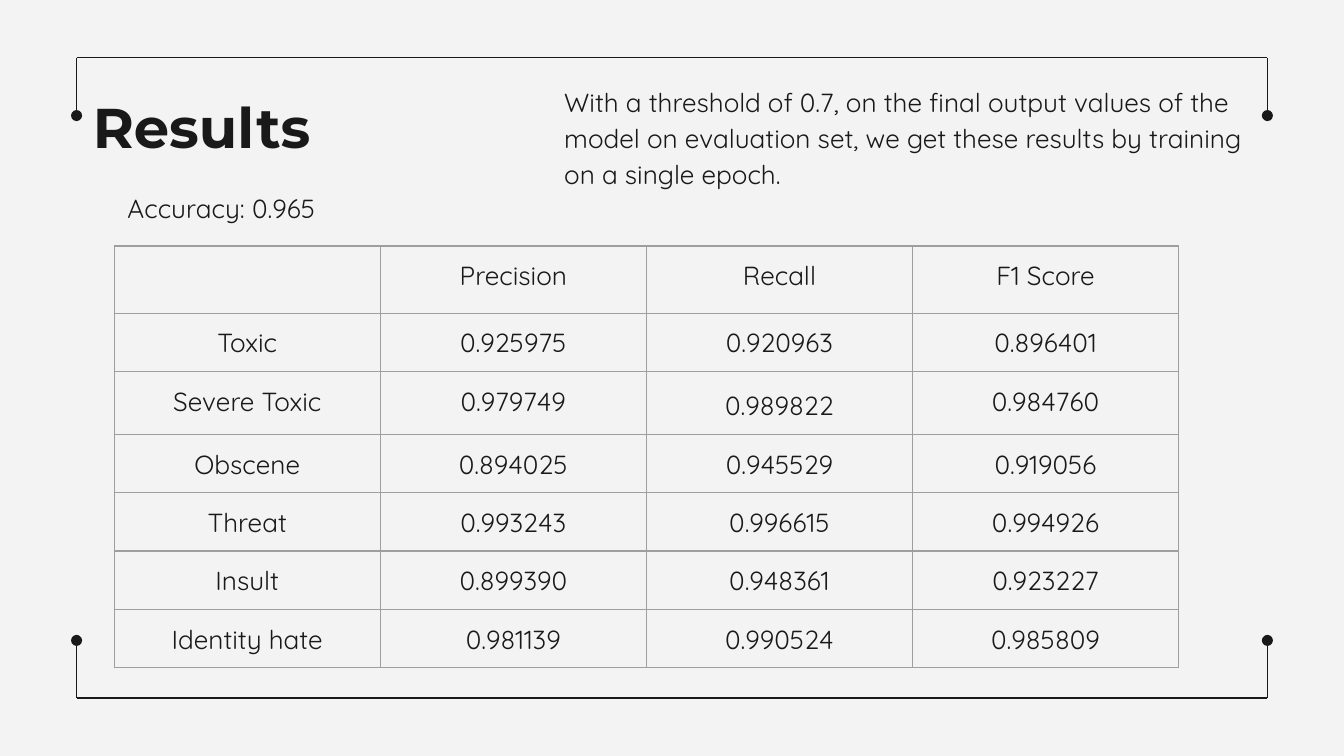
"""Build the results slide: corner frame, title, notes and a score table."""
from lxml.etree import SubElement
from pptx import Presentation
from pptx.dml.color import RGBColor
from pptx.enum.shapes import MSO_CONNECTOR
from pptx.enum.text import MSO_ANCHOR, PP_ALIGN
from pptx.oxml.ns import qn
from pptx.util import Inches, Pt

TITLE = "Results"
INTRO = ("With a threshold of 0.7, on the final output values of the model on "
         "evaluation set, we get these results by training on a single epoch.")
ACCURACY = "Accuracy: 0.965"
SCORES = [
    ("", "Precision", "Recall", "F1 Score"),
    ("Toxic", "0.925975", "0.920963", "0.896401"),
    ("Severe Toxic", "0.979749", "0.989822", "0.984760"),
    ("Obscene", "0.894025", "0.945529", "0.919056"),
    ("Threat", "0.993243", "0.996615", "0.994926"),
    ("Insult", "0.899390", "0.948361", "0.923227"),
    ("Identity hate", "0.981139", "0.990524", "0.985809"),
]
LOOSE_CELL = "0.989822"
COLORS = {"bg": "F3F3F3", "ink": "191919", "grid": "9E9E9E"}
WIDTH = 10
HEIGHT = WIDTH * 9 / 16
MARGIN_X, MARGIN_Y, TICK = 0.57, 0.43, 0.43
COL_W, ROW_H = 1.98, 0.42


def rgb(name):
    return RGBColor.from_string(COLORS[name])


def write(tf, text, size=14, font="Quicksand", bold=False, align=None, spacing=None):
    tf.word_wrap = True
    tf.vertical_anchor = MSO_ANCHOR.TOP
    p = tf.paragraphs[0]
    p.alignment, p.line_spacing = align, spacing
    r = p.add_run()
    r.text = text
    r.font.size, r.font.name, r.font.bold = Pt(size), font, bold
    r.font.color.rgb = rgb("ink")


def set_insets(target):
    target.margin_left = target.margin_right = Inches(0.1)
    target.margin_top = target.margin_bottom = Inches(0.1)


def place(sp, *box):
    sp.left, sp.top, sp.width, sp.height = map(Inches, box)


def add_line(s, x1, y1, x2, y2, dot=False):
    line = s.shapes.add_connector(MSO_CONNECTOR.STRAIGHT, *map(Inches, (x1, y1, x2, y2)))
    line.line.color.rgb = rgb("ink")
    line.line.width = Pt(0.75)
    if dot:
        SubElement(line.line._get_or_add_ln(), qn("a:tailEnd"), type="oval")
    SubElement(line._element.spPr, qn("a:effectLst"))


def add_text(s, text, *box):
    sp = s.shapes.add_textbox(*map(Inches, box))
    set_insets(sp.text_frame)
    write(sp.text_frame, text, spacing=1.15)


def add_borders(cell):
    tcPr = cell._tc.get_or_add_tcPr()
    for side in ("lnL", "lnR", "lnT", "lnB"):
        ln = SubElement(tcPr, qn(f"a:{side}"), w=str(Pt(0.75)))
        fill = SubElement(ln, qn("a:solidFill"))
        SubElement(fill, qn("a:srgbClr"), val=COLORS["grid"])


def add_scores(s, left, top):
    rows, cols = len(SCORES), len(SCORES[0])
    table = s.shapes.add_table(
        rows, cols, *map(Inches, (left, top, COL_W * cols, ROW_H * rows))).table
    table.first_row = table.horz_banding = False
    for col in table.columns:
        col.width = Inches(COL_W)
    for i, values in enumerate(SCORES):
        table.rows[i].height = Inches(ROW_H)
        for j, value in enumerate(values):
            cell = table.cell(i, j)
            set_insets(cell)
            add_borders(cell)
            cell.fill.background()
            if value:
                write(cell.text_frame, value, align=PP_ALIGN.CENTER,
                      spacing=1.15 if value == LOOSE_CELL else None)


def main():
    prs = Presentation()
    prs.slide_width, prs.slide_height = Inches(WIDTH), Inches(HEIGHT)
    s = prs.slides.add_slide(prs.slide_layouts[5])
    s.background.fill.solid()
    s.background.fill.fore_color.rgb = rgb("bg")

    left, right = MARGIN_X, WIDTH - MARGIN_X
    for y, step in ((MARGIN_Y, TICK), (HEIGHT - MARGIN_Y, -TICK)):
        add_line(s, left, y, right, y)
        for x in (left, right):
            add_line(s, x, y, x, y + step, dot=True)

    title = s.shapes.title
    place(title, 0.59, 0.59, 8.43, 0.63)
    set_insets(title.text_frame)
    write(title.text_frame, TITLE, 30, "Montserrat", True, PP_ALIGN.LEFT)
    add_text(s, INTRO, 4.1, 0.51, 5.33, 0.98)
    add_scores(s, 0.85, 1.83)
    add_text(s, ACCURACY, 0.85, 1.3, 5.33, 0.44)
    prs.save("out.pptx")


if __name__ == "__main__":
    main()
